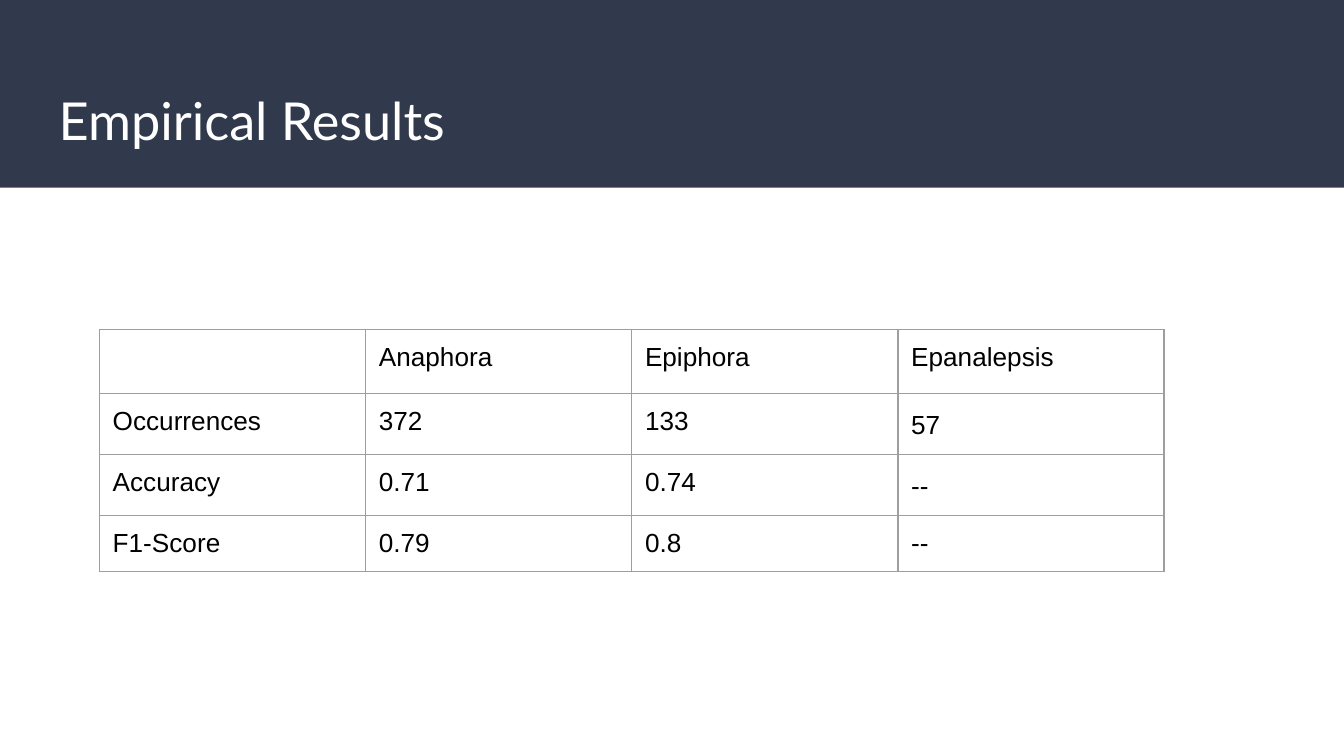
from dataclasses import dataclass

from lxml.etree import SubElement
from pptx import Presentation
from pptx.dml.color import RGBColor
from pptx.enum.shapes import MSO_SHAPE
from pptx.enum.text import MSO_ANCHOR, MSO_AUTO_SIZE, PP_ALIGN
from pptx.oxml.ns import qn
from pptx.util import Cm, Pt


@dataclass(frozen=True)
class Theme:
    navy: str = "31394D"
    white: str = "FFFFFF"
    black: str = "000000"
    rule: str = "9E9E9E"
    title_font: str = "Lato"
    body_font: str = "Arial"
    title_size: int = 28
    body_size: int = 14
    rule_width: float = 0.75
    inset: float = 0.25


class SlideBuilder:
    def __init__(self, slide, theme):
        self.slide = slide
        self.theme = theme

    def style(self, paragraph, font, size, color):
        paragraph.font.name = font
        paragraph.font.size = Pt(size)
        paragraph.font.color.rgb = RGBColor.from_string(color)
        paragraph.alignment = PP_ALIGN.LEFT

    def pad(self, holder):
        for side in ("left", "top", "right", "bottom"):
            setattr(holder, f"margin_{side}", Cm(self.theme.inset))

    def title(self, text, left, top, width, height):
        title = self.slide.shapes.title
        title.left, title.top, title.width, title.height = map(Cm, (left, top, width, height))
        frame = title.text_frame
        frame.text = text
        frame.auto_size = MSO_AUTO_SIZE.NONE
        frame.vertical_anchor = MSO_ANCHOR.MIDDLE
        self.pad(frame)
        theme = self.theme
        self.style(frame.paragraphs[0], theme.title_font, theme.title_size, theme.white)

    def band(self, width, height):
        band = self.slide.shapes.add_shape(MSO_SHAPE.RECTANGLE, 0, 0, width, height)
        band.shadow.inherit = False
        band.fill.solid()
        band.fill.fore_color.rgb = RGBColor.from_string(self.theme.navy)
        band.line.fill.background()
        # Keep the band behind the title
        self.slide.shapes.title.element.addprevious(band.element)

    def borders(self, cell):
        properties = cell._tc.get_or_add_tcPr()
        for position, edge in enumerate(("a:lnL", "a:lnR", "a:lnT", "a:lnB")):
            line = SubElement(properties, qn(edge), w=str(Pt(self.theme.rule_width)))
            fill = SubElement(line, qn("a:solidFill"))
            SubElement(fill, qn("a:srgbClr"), val=self.theme.rule)
            properties.insert(position, line)  # Borders precede the fill

    def table(self, rows, left, top, column_width, row_heights, loose_cells):
        theme = self.theme
        columns = len(rows[0])
        table = self.slide.shapes.add_table(
            len(rows), columns, Cm(left), Cm(top),
            Cm(column_width * columns), Cm(sum(row_heights))).table
        table.first_row = table.horz_banding = False
        for column in table.columns:
            column.width = Cm(column_width)
        for r, (values, height) in enumerate(zip(rows, row_heights)):
            table.rows[r].height = Cm(height)
            for c, value in enumerate(values):
                cell = table.cell(r, c)
                cell.text = value
                cell.fill.background()
                self.pad(cell)
                self.borders(cell)
                paragraph = cell.text_frame.paragraphs[0]
                self.style(paragraph, theme.body_font, theme.body_size, theme.black)
                if (r, c) in loose_cells:
                    paragraph.line_spacing = 1.15


def main():
    presentation = Presentation()
    presentation.slide_width, presentation.slide_height = Cm(25.4), Cm(14.29)
    slide = presentation.slides.add_slide(presentation.slide_layouts[5])
    builder = SlideBuilder(slide, Theme())

    # Header
    builder.band(presentation.slide_width, Cm(3.55))
    builder.title("Empirical Results", 0.86, 1.4, 23.67, 1.73)

    # Results for each rhetorical figure
    results = [
        ("", "Anaphora", "Epiphora", "Epanalepsis"),
        ("Occurrences", "372", "133", "57"),
        ("Accuracy", "0.71", "0.74", "--"),
        ("F1-Score", "0.79", "0.8", "--"),
    ]
    builder.table(results, left=1.88, top=6.23, column_width=5.03,
                  row_heights=(1.21, 1.15, 1.15, 1.06),
                  loose_cells={(1, 3), (2, 3)})

    presentation.save("out.pptx")


if __name__ == "__main__":
    main()
